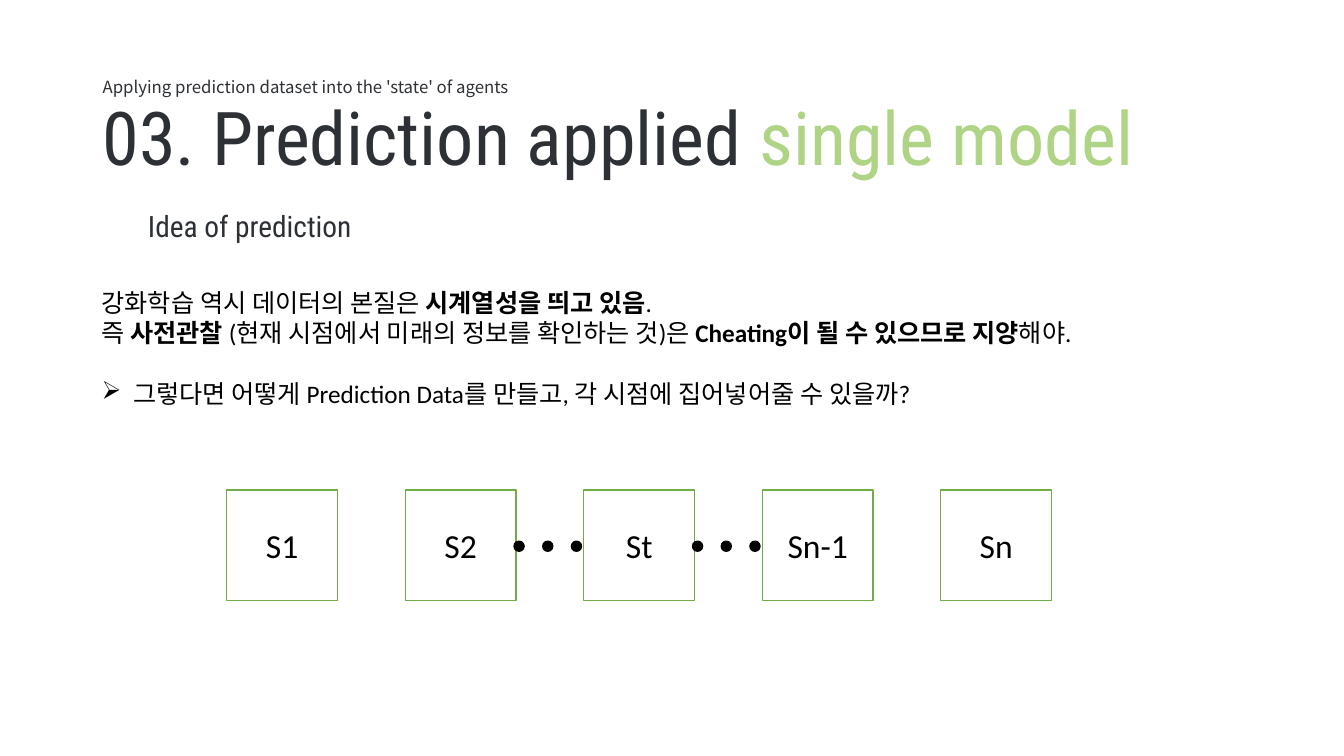
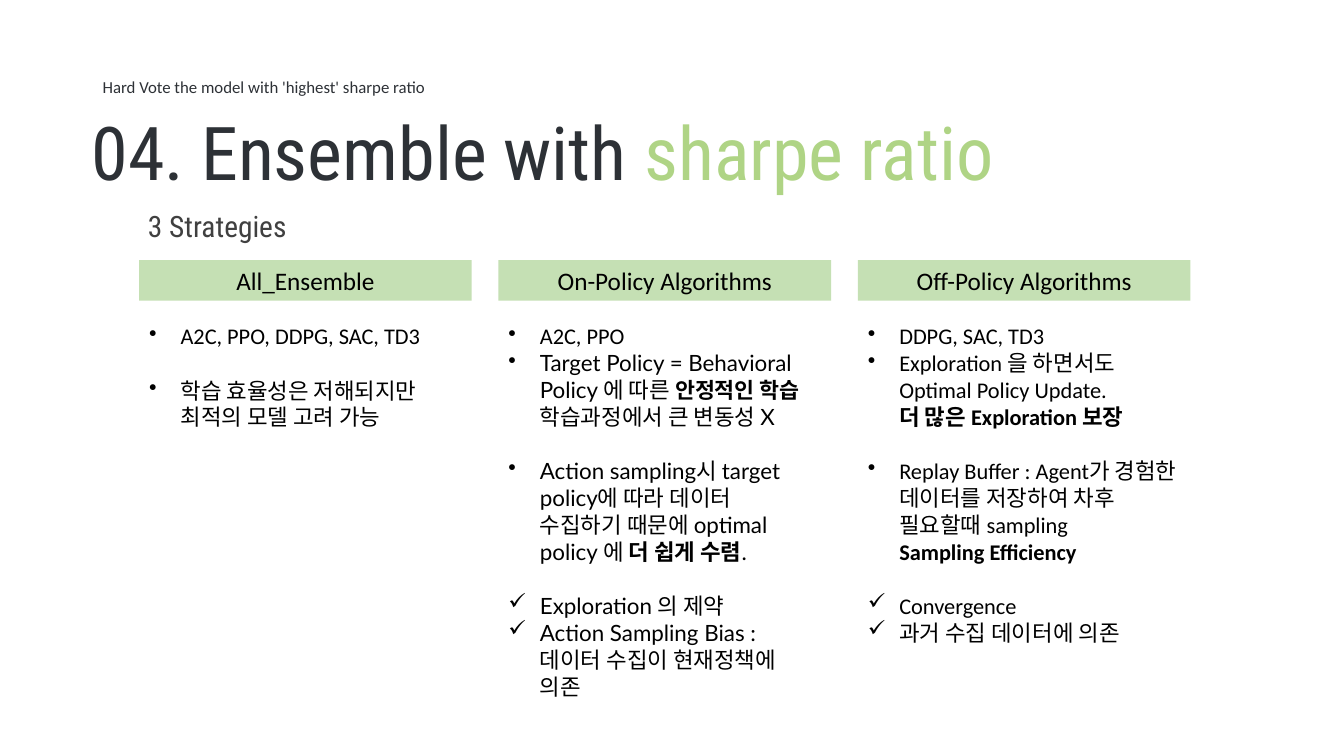
from lxml import etree
from pptx import Presentation
from pptx.dml.color import RGBColor
from pptx.enum.shapes import MSO_SHAPE
from pptx.enum.text import MSO_ANCHOR, PP_ALIGN
from pptx.oxml.ns import qn
from pptx.util import Pt

RECTANGLE = MSO_SHAPE.RECTANGLE
OVAL = MSO_SHAPE.OVAL
MIDDLE = MSO_ANCHOR.MIDDLE
CENTER = PP_ALIGN.CENTER

color = RGBColor.from_string
INK = "2D3136"
GREY = "404040"
BLACK = "000000"
WHITE = "FFFFFF"
ACCENT = "AFD485"
BAND = "C5E0B4"
BORDER = "70AD47"

TITLE_FONT = "Roboto Condensed"
BODY_FONT = "Calibri"
BOLD = {"bold": True}
INDENT = 22.5
LINE_GAP = 19.5


def write(paragraph, runs, font_name, size, ink=BLACK, bullet=None, gap=0):
    if gap:
        paragraph.space_before = Pt(gap)
    if bullet:
        properties = paragraph._p.get_or_add_pPr()
        properties.set("marL", str(Pt(INDENT)))
        properties.set("indent", str(Pt(-INDENT)))
        etree.SubElement(properties, qn("a:buChar")).set("char", bullet)
    paragraph.font.name = font_name
    paragraph.font.size = Pt(size)
    paragraph.font.color.rgb = color(ink)
    for text, overrides in runs:
        for index, line in enumerate(text.split("\n")):
            if index:
                paragraph.add_line_break()
            if line:
                run = paragraph.add_run()
                run.text = line
                for name, value in overrides.items():
                    setattr(run.font, name, value)


def add_block(slide, kind, left, top, width, height, fill, line=None):
    shape = slide.shapes.add_shape(kind, Pt(left), Pt(top), Pt(width), Pt(height))
    shape.shadow.inherit = False
    shape.fill.solid()
    shape.fill.fore_color.rgb = color(fill)
    if line:
        shape.line.color.rgb = color(line)
        shape.line.width = Pt(1)
    else:
        shape.line.fill.background()
    return shape


presentation = Presentation()
presentation.slide_width = Pt(960)
presentation.slide_height = Pt(540)

headers = [
    {
        "caption": "Applying prediction dataset into the 'state' of agents",
        "caption_font": "Noto Sans CJK KR",
        "title": ("03. Prediction applied\u00a0", "single model"),
        "title_at": (66.2, 62),
        "subtitle": "Idea of prediction",
        "subtitle_ink": INK,
    },
    {
        "caption": "Hard Vote the model with 'highest' sharpe ratio",
        "caption_font": BODY_FONT,
        "title": ("04. Ensemble with\u00a0", "sharpe ratio"),
        "title_at": (58.3, 72.7),
        "subtitle": "3 Strategies",
        "subtitle_ink": GREY,
    },
]
slides = []
for header in headers:
    slide = presentation.slides.add_slide(presentation.slide_layouts[6])
    slides.append(slide)
    title_left, title_top = header["title_at"]
    lines = [
        (66.2, 51.1, 356, 22, [header["caption"]], header["caption_font"], 12, INK),
        (title_left, title_top, 864, 72, header["title"], TITLE_FONT, 53, INK),
        (98.6, 145.4, 425, 33, [header["subtitle"]], TITLE_FONT, 21, header["subtitle_ink"]),
    ]
    for left, top, width, height, texts, font_name, size, ink in lines:
        box = slide.shapes.add_textbox(Pt(left), Pt(top), Pt(width), Pt(height))
        box.text_frame.word_wrap = True
        paragraph = box.text_frame.paragraphs[0]
        write(paragraph, [(text, {}) for text in texts], font_name, size, ink)
        for run in paragraph.runs[1:]:
            run.font.color.rgb = color(ACCENT)

prediction_slide, ensemble_slide = slides

idea = [
    ([("강화학습 역시 데이터의 본질은 ", {}), ("시계열성을 띄고 있음", BOLD), (".", {})], None, 0),
    ([("즉 ", {}), ("사전관찰", BOLD),
      (" (현재 시점에서 미래의 정보를 확인하는 것)은 ", {}),
      ("Cheating이 될 수 있으므로 지양", BOLD), ("해야.", {})], None, 0),
    ([("그렇다면 어떻게 Prediction Data를 만들고, 각 시점에 집어넣어줄 수 있을까?", {})], "➢", 22),
]
box = prediction_slide.shapes.add_textbox(Pt(65.5), Pt(201.6), Pt(764.6), Pt(94.3))
frame = box.text_frame
frame.word_wrap = False
for index, (runs, bullet, gap) in enumerate(idea):
    paragraph = frame.add_paragraph() if index else frame.paragraphs[0]
    write(paragraph, runs, BODY_FONT, 18, bullet=bullet, gap=gap)

STATE_PITCH = 127.5
for index, state in enumerate(["S1", "S2", "St", "Sn-1", "Sn"]):
    shape = add_block(prediction_slide, RECTANGLE, 162 + index * STATE_PITCH, 350, 79.2, 79.2, WHITE, BORDER)
    shape.text_frame.vertical_anchor = MIDDLE
    paragraph = shape.text_frame.paragraphs[0]
    paragraph.alignment = CENTER
    write(paragraph, [(state, {})], BODY_FONT, 24)

for group in range(2):
    for dot in range(3):
        add_block(prediction_slide, OVAL, 367.2 + group * STATE_PITCH + dot * 20.5, 386.6, 7.2, 7.2, BLACK, BLACK)

columns = [
    ("All_Ensemble", [
        ([("A2C, PPO, DDPG, SAC, TD3", {})], BODY_FONT, "•", 0),
        ([("학습 효율성은 저해되지만 최적의 모델 고려 가능", {})], BODY_FONT, "•", LINE_GAP),
    ]),
    ("On-Policy Algorithms", [
        ([("A2C, PPO", {})], BODY_FONT, "•", 0),
        ([("Target Policy = Behavioral Policy 에 따른 ", {}),
          ("안정적인 학습\n", {"bold": True, "size": Pt(15.5)}),
          ("학습과정에서 큰 변동성 X", {})], "Lato", "•", 0),
        ([("Action sampling시 target policy에 따라 데이터 \n수집하기 때문에 optimal policy 에 ", {}),
          ("더 쉽게 수렴", BOLD), (".", {})], "Lato", "•", LINE_GAP),
        ([("Exploration 의 제약", {})], "Lato", "✓", LINE_GAP),
        ([("Action Sampling\u00a0Bias :\n데이터 수집이 현재정책에 의존", {})], "Lato", "✓", 0),
    ]),
    ("Off-Policy\u00a0Algorithms", [
        ([("DDPG, SAC, TD3", {})], BODY_FONT, "•", 0),
        ([("Exploration 을 하면서도 Optimal Policy Update.\u00a0\n", {}),
          ("더 많은 Exploration 보장", BOLD)], BODY_FONT, "•", 0),
        ([("Replay\u00a0Buffer : Agent가 경험한 데이터를 저장하여 차후 필요할때 sampling\n", {}),
          ("Sampling Efficiency", BOLD)], BODY_FONT, "•", LINE_GAP),
        ([("Convergence", {})], BODY_FONT, "✓", LINE_GAP),
        ([("과거 수집 데이터에 의존", {})], BODY_FONT, "✓", 0),
    ]),
]
COLUMN_WIDTH = 237.6
for column, (heading, points) in enumerate(columns):
    left = 99.4 + column * 256.7
    band = add_block(ensemble_slide, RECTANGLE, left, 185.8, COLUMN_WIDTH, 29, BAND)
    band.text_frame.vertical_anchor = MIDDLE
    paragraph = band.text_frame.paragraphs[0]
    paragraph.alignment = CENTER
    write(paragraph, [(heading, {})], BODY_FONT, 18)

    box = ensemble_slide.shapes.add_textbox(Pt(left), Pt(226.8), Pt(COLUMN_WIDTH), Pt(278))
    frame = box.text_frame
    frame.word_wrap = True
    for index, (runs, font_name, bullet, gap) in enumerate(points):
        paragraph = frame.add_paragraph() if index else frame.paragraphs[0]
        write(paragraph, runs, font_name, 16, bullet=bullet, gap=gap)

presentation.save("out.pptx")
